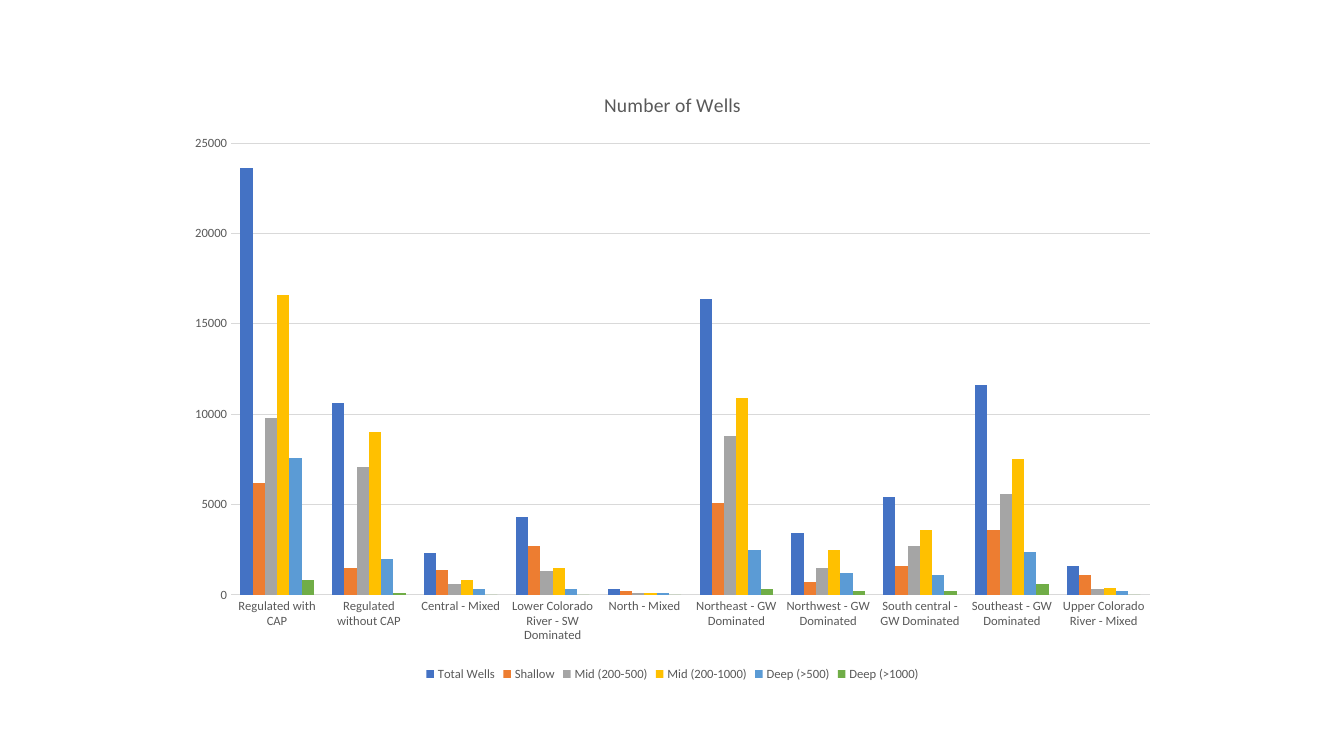
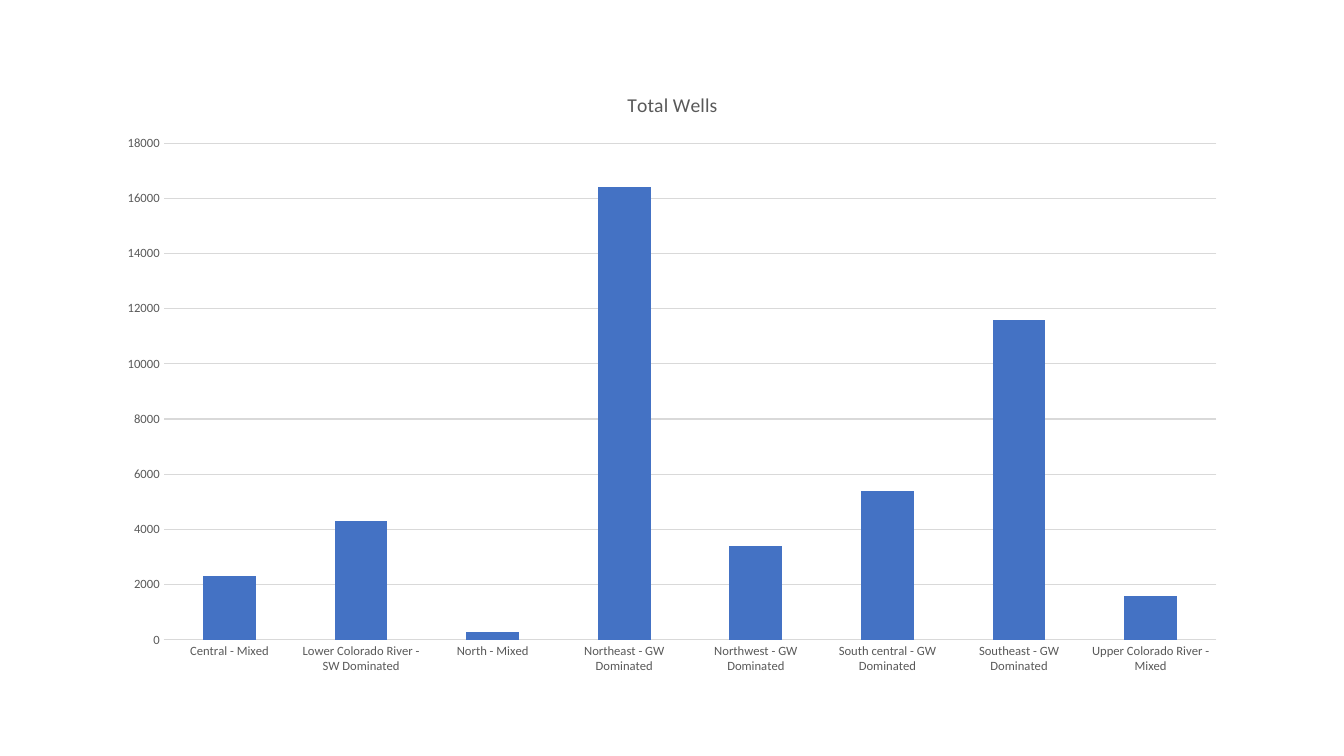
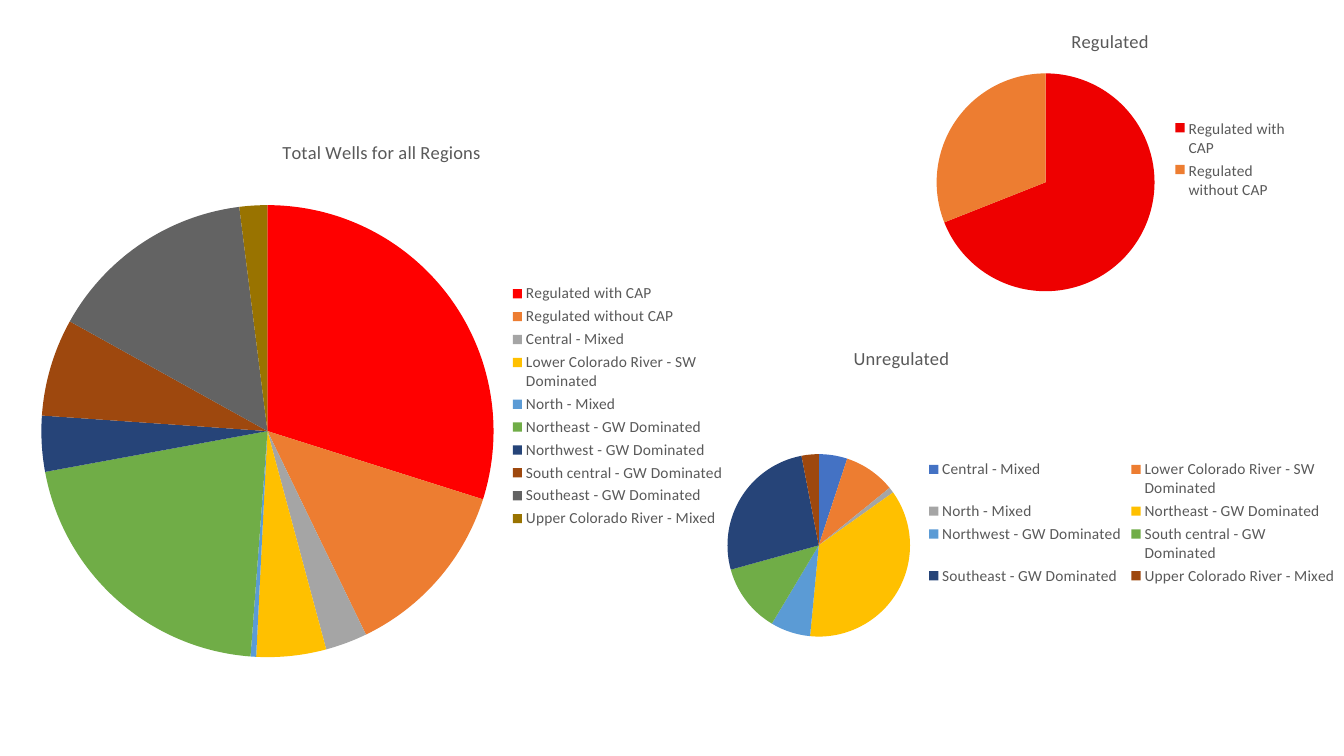
from lxml import etree
from pptx import Presentation
from pptx.chart.data import CategoryChartData
from pptx.dml.color import RGBColor
from pptx.enum.chart import XL_CHART_TYPE, XL_LEGEND_POSITION, XL_TICK_MARK
from pptx.oxml.ns import qn
from pptx.util import Inches, Pt

COLUMNS, PIE = XL_CHART_TYPE.COLUMN_CLUSTERED, XL_CHART_TYPE.PIE
BOTTOM, RIGHT = XL_LEGEND_POSITION.BOTTOM, XL_LEGEND_POSITION.RIGHT
NO_TICK = XL_TICK_MARK.NONE

COLORS = {
    "text": "595959", "grid": "D9D9D9", "blue": "4472C4", "orange": "ED7D31",
    "gray": "A5A5A5", "gold": "FFC000", "sky": "5B9BD5", "green": "70AD47",
    "navy": "264478", "rust": "9E480E", "slate": "636363", "olive": "997300",
    "red": "FF0000", "crimson": "EE0000",
}
PALETTE = ["blue", "orange", "gray", "gold", "sky", "green", "navy", "rust", "slate", "olive"]

REGULATED = ["Regulated with CAP", "Regulated without CAP"]
UNREGULATED = [
    "Central - Mixed", "Lower Colorado River - SW Dominated", "North - Mixed",
    "Northeast - GW Dominated", "Northwest - GW Dominated",
    "South central - GW Dominated", "Southeast - GW Dominated",
    "Upper Colorado River - Mixed",
]
REGIONS = REGULATED + UNREGULATED
WELLS = {
    "Total Wells": [23600, 10600, 2300, 4300, 300, 16400, 3400, 5400, 11600, 1600],
    "Shallow": [6200, 1500, 1400, 2700, 200, 5100, 700, 1600, 3600, 1100],
    "Mid (200-500)": [9800, 7100, 600, 1300, 100, 8800, 1500, 2700, 5600, 300],
    "Mid (200-1000)": [16600, 9000, 800, 1500, 100, 10900, 2500, 3600, 7500, 400],
    "Deep (>500)": [7600, 2000, 300, 300, 100, 2500, 1200, 1100, 2400, 200],
    "Deep (>1000)": [800, 100, 0, 0, 0, 300, 200, 200, 600, 0],
}


def rgb(name):
    return RGBColor.from_string(COLORS[name])


def set_layout(parent, fractions, after=None, inner=False):
    """Place a chart part by fractions (x, y, width, height) of the chart."""
    for old in parent.findall(qn("c:layout")):
        parent.remove(old)
    layout = etree.Element(qn("c:layout"))
    manual = etree.SubElement(layout, qn("c:manualLayout"))
    settings = [("layoutTarget", "inner")] if inner else []
    settings += [("xMode", "edge"), ("yMode", "edge")]
    settings += zip("xywh", fractions)
    for tag, value in settings:
        etree.SubElement(manual, qn(f"c:{tag}")).set("val", str(value))
    if after:
        parent.find(qn(after)).addnext(layout)
    else:
        parent.insert(0, layout)


class Deck:
    font_name = "Calibri"

    def __init__(self):
        self.deck = Presentation()
        self.deck.slide_width, self.deck.slide_height = Inches(13.33), Inches(7.5)
        self.slide = None

    def new_slide(self):
        self.slide = self.deck.slides.add_slide(self.deck.slide_layouts[6])

    def style_font(self, font, size):
        font.name, font.size, font.bold = self.font_name, Pt(size), False
        font.color.rgb = rgb("text")

    def chart(self, kind, box, title, title_size, categories, series, plot_area):
        data = CategoryChartData()
        data.categories = categories
        for name, values in series.items():
            data.add_series(name, values)
        frame = self.slide.shapes.add_chart(kind, *map(Inches, box), data)
        chart = frame.chart
        chart.has_legend = False
        chart.has_title = True
        span = chart.chart_title.text_frame.paragraphs[0].add_run()
        span.text = title
        self.style_font(span.font, title_size)
        chart.chart_title.include_in_layout = False
        set_layout(chart._chartSpace.chart.plotArea, plot_area, inner=True)
        return chart

    def legend(self, chart, position, size):
        chart.has_legend = True
        chart.legend.position = position
        chart.legend.include_in_layout = False
        self.style_font(chart.legend.font, size)

    def column_chart(self, box, title, categories, series, plot_area):
        chart = self.chart(COLUMNS, box, title, 14, categories, series, plot_area)
        self.style_font(chart.font, 10)
        plot = chart.plots[0]
        plot.gap_width, plot.overlap, plot.vary_by_categories = 150, 0, False
        for column, color in zip(plot.series, PALETTE):
            column.format.fill.solid()
            column.format.fill.fore_color.rgb = rgb(color)
        for axis in (chart.category_axis, chart.value_axis):
            axis.major_tick_mark = axis.minor_tick_mark = NO_TICK
            self.style_font(axis.tick_labels.font, 9)
        chart.value_axis.has_major_gridlines = True
        chart.value_axis.format.line.fill.background()
        for part in (chart.category_axis, chart.value_axis.major_gridlines):
            part.format.line.color.rgb = rgb("grid")
            part.format.line.width = Pt(0.75)
        return chart

    def pie_chart(self, box, title, categories, shares, colors, plot_area):
        series = {"Series 1": shares}
        chart = self.chart(PIE, box, title, 13.2, categories, series, plot_area)
        self.style_font(chart.font, 11)
        plot = chart.plots[0]
        plot.vary_by_categories = True
        for index, color in enumerate(colors[:len(categories)]):
            slice_format = plot.series[0].points[index].format
            slice_format.fill.solid()
            slice_format.fill.fore_color.rgb = rgb(color)
            slice_format.line.fill.background()
        self.legend(chart, RIGHT, 11)
        return chart


def main():
    wells = Deck()

    wells.new_slide()
    chart = wells.column_chart((1.74, 0.7, 9.86, 6.1), "Number of Wells", REGIONS, WELLS,
                               (0.056, 0.118, 0.924, 0.735))
    wells.legend(chart, BOTTOM, 9)

    wells.new_slide()
    totals = {"Total Wells": WELLS["Total Wells"][len(REGULATED):]}
    wells.column_chart((1.05, 0.7, 11.24, 6.1), "Total Wells", UNREGULATED, totals,
                       (0.051, 0.118, 0.929, 0.808))

    wells.new_slide()
    chart = wells.pie_chart((7.08, 3.36, 6.29, 3.65), "Unregulated", UNREGULATED,
                            [5, 9, 1, 36, 7, 12, 26, 3], PALETTE,
                            (0.021, 0.314, 0.289, 0.496))
    set_layout(chart.chart_title._element, (0.215, 0.008), after="c:tx")
    wells.pie_chart((9.14, 0.14, 3.74, 2.89), "Regulated", REGULATED,
                    [69, 31], ["crimson", "orange"], (0.04, 0.203, 0.578, 0.749))
    wells.pie_chart((0.27, 1.18, 7.03, 5.7), "Total Wells for all Regions", REGIONS,
                    [30, 13, 3, 5, 0.4, 21, 4, 7, 15, 2], ["red"] + PALETTE[1:],
                    (0.02, 0.15, 0.638, 0.787))

    wells.deck.save("out.pptx")


if __name__ == "__main__":
    main()
